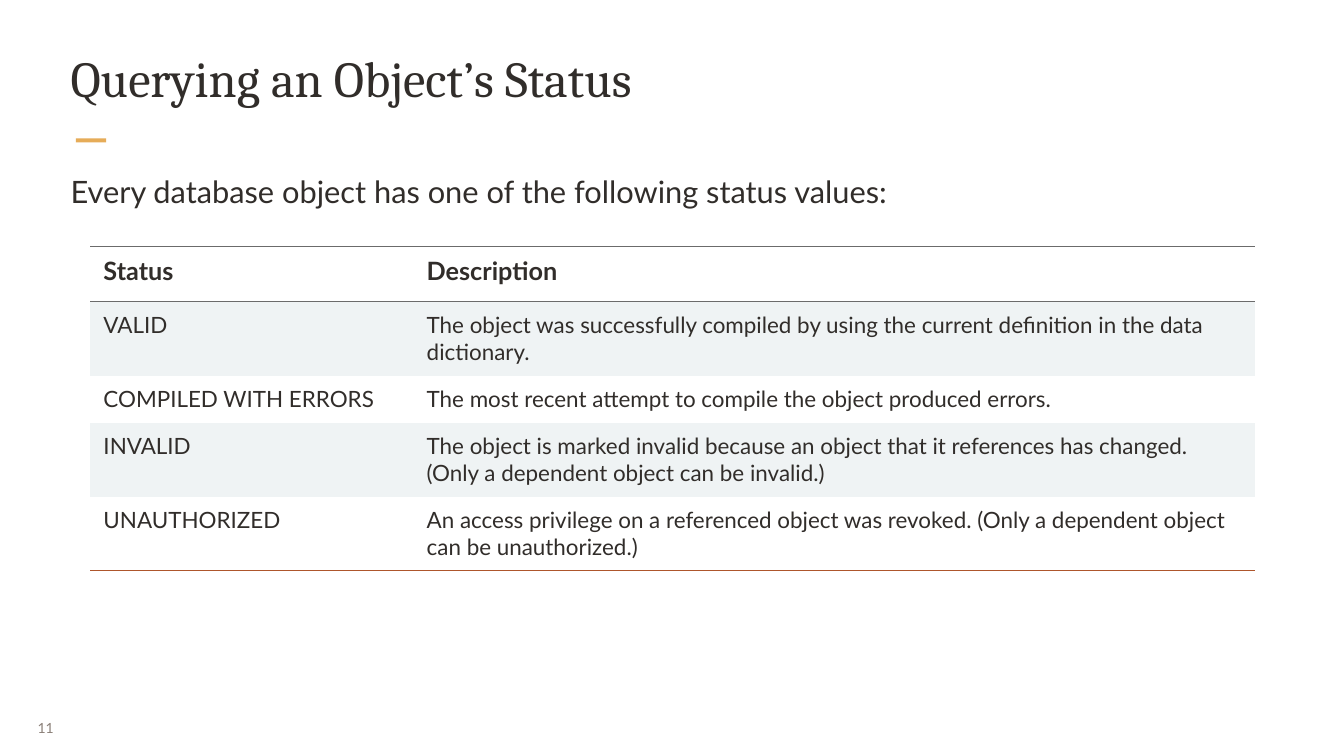
from dataclasses import dataclass

from lxml import etree
from pptx import Presentation
from pptx.dml.color import RGBColor
from pptx.enum.shapes import MSO_SHAPE
from pptx.enum.text import MSO_ANCHOR, PP_ALIGN
from pptx.oxml.ns import qn
from pptx.util import Inches, Pt

RECTANGLE = MSO_SHAPE.RECTANGLE
TOP, MIDDLE = MSO_ANCHOR.TOP, MSO_ANCHOR.MIDDLE
LEFT, JUSTIFY = PP_ALIGN.LEFT, PP_ALIGN.JUSTIFY
PLAIN_TABLE_STYLE = "{2D5ABB26-0587-4C30-8999-92F81FD0307C}"
TITLE_ONLY = 5


@dataclass(frozen=True)
class Theme:
    heading_font: str = "Cambria"
    body_font: str = "Lato"
    text: str = "312D2A"
    muted: str = "8B8078"
    accent: str = "E6AC58"
    header_rule: str = "6B6B6B"
    closing_rule: str = "AE562C"
    band: str = "EFF3F4"
    title_size: int = 54
    lead_size: int = 33
    header_size: int = 27
    cell_size: int = 24
    number_size: int = 15


HEADER = ("Status", "Description")
STATUSES = [
    ("VALID", "The object was successfully compiled by using the current "
              "definition in the data dictionary."),
    ("COMPILED WITH ERRORS", "The most recent attempt to compile the object produced errors."),
    ("INVALID", "The object is marked invalid because an object that it references "
                "has changed. (Only a dependent object can be invalid.)"),
    ("UNAUTHORIZED", "An access privilege on a referenced object was revoked. "
                     "(Only a dependent object can be unauthorized.)"),
]


class SlideBuilder:
    def __init__(self, slide, theme):
        self.slide = slide
        self.theme = theme

    def style(self, paragraph, size, font=None, color=None, bold=False):
        paragraph.font.name = font or self.theme.body_font
        paragraph.font.size = Pt(size)
        paragraph.font.bold = bold
        paragraph.font.color.rgb = RGBColor.from_string(color or self.theme.text)

    def fill_frame(self, frame, text, inset_x, inset_y, anchor=TOP, align=LEFT, wrap=True):
        frame.margin_left = frame.margin_right = Inches(inset_x)
        frame.margin_top = frame.margin_bottom = Inches(inset_y)
        frame.vertical_anchor = anchor
        frame.word_wrap = wrap
        paragraph = frame.paragraphs[0]
        paragraph.text = text
        paragraph.alignment = align
        return paragraph

    def title(self, text, left, top, width, height):
        title = self.slide.shapes.title
        title.left, title.top = Inches(left), Inches(top)
        title.width, title.height = Inches(width), Inches(height)
        paragraph = self.fill_frame(title.text_frame, text, 0.03, 0.03)
        self.style(paragraph, self.theme.title_size, self.theme.heading_font)

    def text(self, text, left, top, width, height, size, color=None, spacing=1.0, **frame_options):
        box = self.slide.shapes.add_textbox(
            Inches(left), Inches(top), Inches(width), Inches(height))
        paragraph = self.fill_frame(box.text_frame, text, **frame_options)
        paragraph.line_spacing = spacing
        self.style(paragraph, size, color=color)

    def bar(self, left, top, width, height):
        bar = self.slide.shapes.add_shape(
            RECTANGLE, Inches(left), Inches(top), Inches(width), Inches(height))
        bar.shadow.inherit = False
        bar.fill.solid()
        bar.fill.fore_color.rgb = RGBColor.from_string(self.theme.accent)
        bar.line.fill.background()

    def border(self, cell, side, color):
        properties = cell._tc.get_or_add_tcPr()
        line = etree.SubElement(properties, qn(f"a:{side}"), w=str(Pt(1)))
        fill = etree.SubElement(line, qn("a:solidFill"))
        etree.SubElement(fill, qn("a:srgbClr"), val=color)

    def cell(self, cell, text, size, bold, fill, borders):
        cell.margin_left = cell.margin_right = Inches(0.2)
        cell.margin_top = cell.margin_bottom = Inches(0.15)
        cell.vertical_anchor = TOP
        paragraph = cell.text_frame.paragraphs[0]
        paragraph.text = text
        self.style(paragraph, size, bold=bold)
        # Borders come before the fill in the cell properties
        for side, color in borders.items():
            self.border(cell, side, color)
        if fill:
            cell.fill.solid()
            cell.fill.fore_color.rgb = RGBColor.from_string(fill)
        else:
            cell.fill.background()

    def table(self, rows, left, top, widths, heights):
        theme = self.theme
        table = self.slide.shapes.add_table(
            len(rows), len(widths), Inches(left), Inches(top),
            Inches(sum(widths)), Inches(sum(heights))).table
        table._tbl.tblPr.find(qn("a:tableStyleId")).text = PLAIN_TABLE_STYLE
        table.horz_banding = False
        for column, width in zip(table.columns, widths):
            column.width = Inches(width)
        for row, height in zip(table.rows, heights):
            row.height = Inches(height)

        for row_index, texts in enumerate(rows):
            is_header = row_index == 0
            borders = {}
            if is_header:
                borders = {"lnT": theme.header_rule, "lnB": theme.header_rule}
            elif row_index == len(rows) - 1:
                borders = {"lnB": theme.closing_rule}
            size = theme.header_size if is_header else theme.cell_size
            fill = theme.band if row_index % 2 else None
            for column_index, text in enumerate(texts):
                self.cell(table.cell(row_index, column_index), text, size,
                          is_header, fill, borders)


def main():
    presentation = Presentation()
    presentation.slide_width, presentation.slide_height = Inches(20), Inches(11.25)
    slide = presentation.slides.add_slide(presentation.slide_layouts[TITLE_ONLY])
    theme = Theme()
    builder = SlideBuilder(slide, theme)

    # Accent bar and slide number
    builder.bar(1.13, 2.06, 0.45, 0.06)
    builder.text("11", 0.43, 10.54, 0.65, 0.58, theme.number_size, theme.muted,
                 inset_x=0.13, inset_y=0.07, anchor=MIDDLE, align=JUSTIFY, wrap=False)

    # Title and lead sentence
    builder.title("Querying an Object’s Status", 1.02, 0.67, 17.96, 1.28)
    builder.text("Every database object has one of the following status values:",
                 1.02, 2.49, 17.96, 0.63, theme.lead_size, spacing=1.1,
                 inset_x=0.03, inset_y=0.03)

    # Status table
    builder.table([HEADER, *STATUSES], 1.34, 3.66,
                  widths=(4.81, 12.52), heights=(0.83, 1.1, 0.7, 1.1, 1.1))

    presentation.save("out.pptx")


if __name__ == "__main__":
    main()
